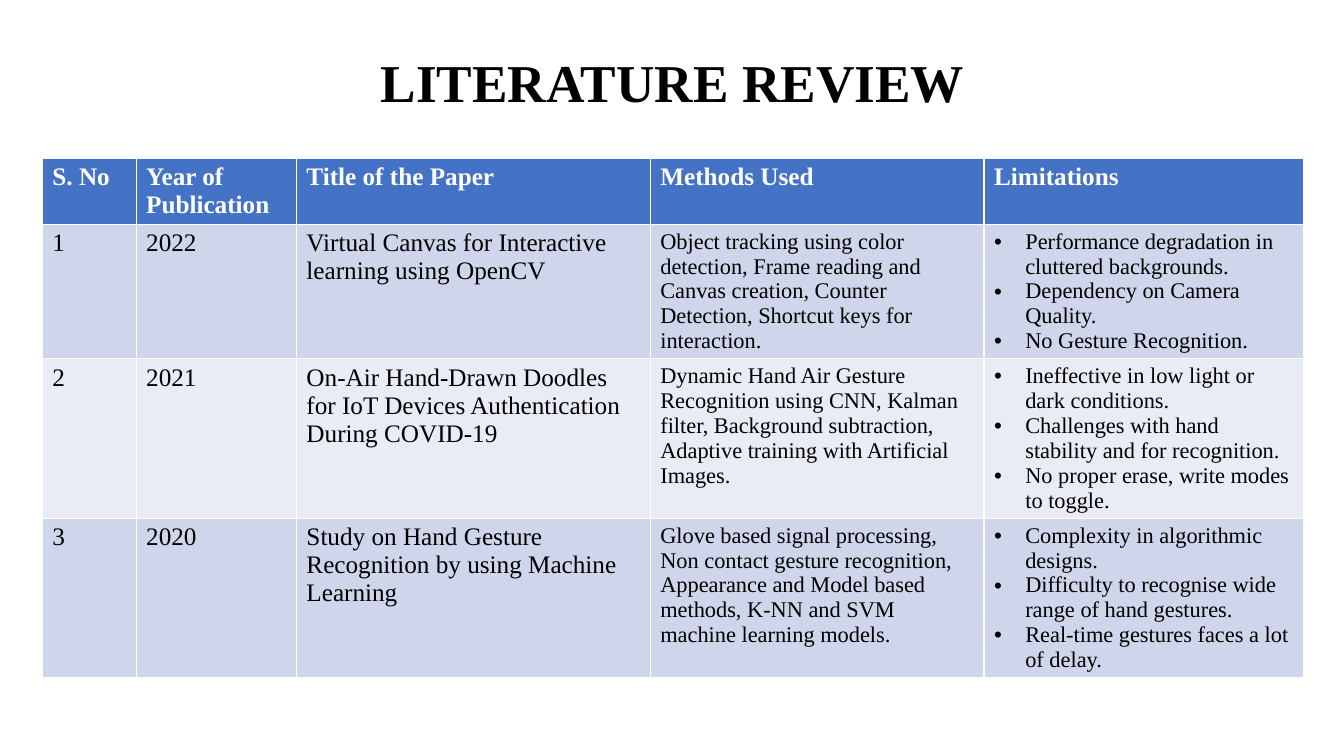
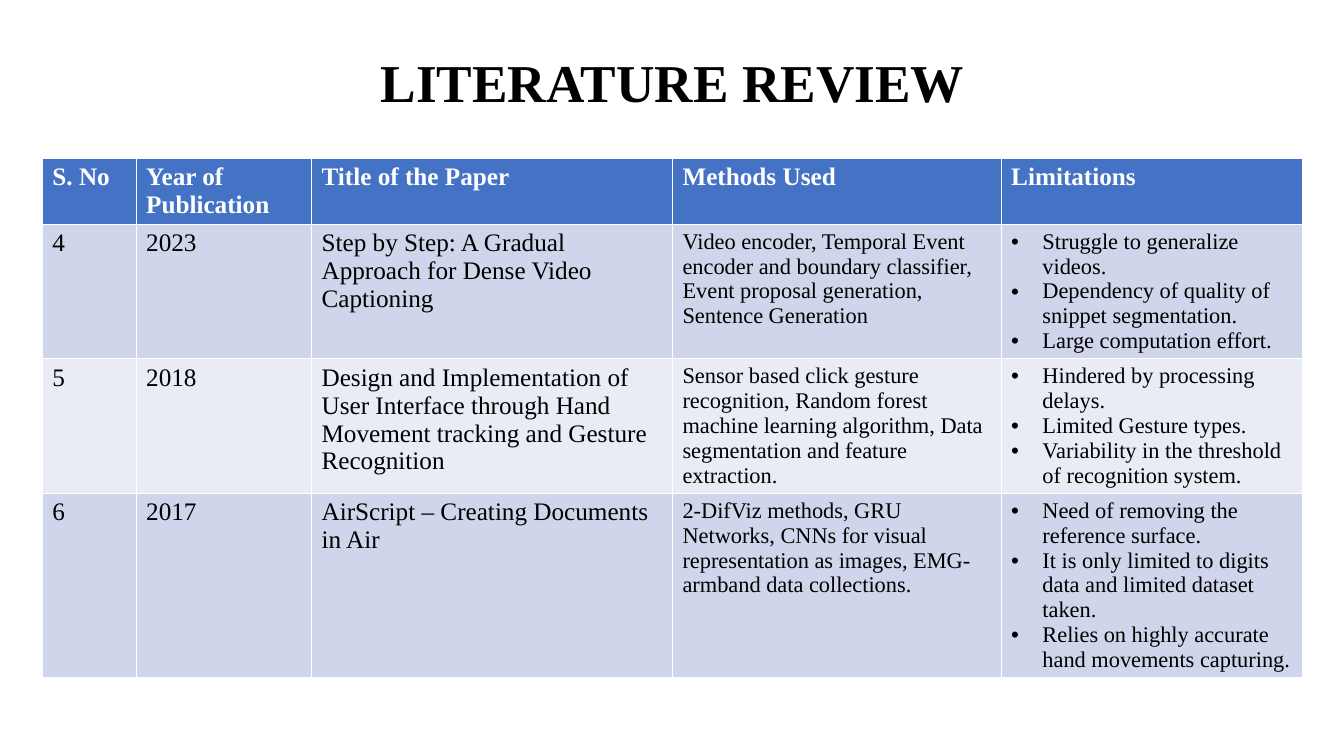
from lxml import etree
from pptx import Presentation
from pptx import util as u
from pptx.dml.color import RGBColor
from pptx.enum import text
from pptx.oxml.ns import qn

FONT = "Times New Roman"
BLACK = RGBColor(0x00, 0x00, 0x00)
WHITE = RGBColor(0xFF, 0xFF, 0xFF)
HEADER_BLUE = RGBColor(0x44, 0x72, 0xC4)
BANDS = [RGBColor(0xCF, 0xD5, 0xEA), RGBColor(0xE9, 0xEB, 0xF5)]

HEADINGS = ["S. No", "Year of Publication", "Title of the Paper", "Methods Used", "Limitations"]
LIMITATIONS = HEADINGS.index("Limitations")
BODY_SIZES = [18, 18, 18, 16, 16]

# Column widths and papers of each slide
REVIEWS = [
    ([0.93, 1.59, 3.51, 3.31, 3.17], [
        ["1", "2022", "Virtual Canvas for Interactive learning using OpenCV",
         "Object tracking using color detection, Frame reading and Canvas creation, "
         "Counter Detection, Shortcut keys for interaction.",
         ["Performance degradation in cluttered backgrounds.",
          "Dependency on Camera Quality.",
          "No Gesture Recognition."]],
        ["2", "2021", "On-Air Hand-Drawn Doodles for IoT Devices Authentication During COVID-19",
         "Dynamic Hand Air Gesture Recognition using CNN, Kalman filter, "
         "Background subtraction, Adaptive training with Artificial Images.",
         ["Ineffective in low light or dark conditions.",
          "Challenges with hand stability and for recognition.",
          "No proper erase, write modes to toggle."]],
        ["3", "2020", "Study on Hand Gesture Recognition by using Machine Learning",
         "Glove based signal processing, Non contact gesture recognition, "
         "Appearance and Model based methods, K-NN and SVM machine learning models.",
         ["Complexity in algorithmic designs.",
          "Difficulty to recognise wide range of hand gestures.",
          "Real-time gestures faces a lot of delay."]],
    ]),
    ([0.93, 1.74, 3.58, 3.26, 2.99], [
        ["4", "2023", "Step by Step: A Gradual Approach for Dense Video Captioning",
         "Video encoder, Temporal Event encoder and boundary classifier, "
         "Event proposal generation, Sentence Generation",
         ["Struggle to generalize videos.",
          "Dependency of quality of snippet segmentation.",
          "Large computation effort."]],
        ["5", "2018", "Design and Implementation of User Interface through Hand Movement "
         "tracking and Gesture Recognition",
         "Sensor based click gesture recognition, Random forest machine learning algorithm, "
         "Data segmentation and feature extraction.",
         ["Hindered by processing delays.",
          "Limited Gesture types.",
          "Variability in the threshold of recognition system."]],
        ["6", "2017", "AirScript – Creating Documents in Air",
         "2-DifViz methods, GRU Networks, CNNs for visual representation as images, "
         "EMG- armband data collections.",
         ["Need of removing the reference surface.",
          "It is only limited to digits data and limited dataset taken.",
          "Relies on highly accurate hand movements capturing."]],
    ]),
]


def set_font(para, size, color, bold):
    para.font.name = FONT
    para.font.size = u.Pt(size)
    para.font.color.rgb = color
    para.font.bold = bold


def add_bullet(para):
    properties = para._p.get_or_add_pPr()
    indent = u.Inches(0.31)
    properties.set("marL", str(indent))
    properties.set("indent", str(-indent))
    etree.SubElement(properties, qn("a:buFont"), typeface="Arial")
    etree.SubElement(properties, qn("a:buChar"), char="•")


deck = Presentation()
deck.slide_width = u.Inches(13.33)
deck.slide_height = u.Inches(7.5)

for widths, papers in REVIEWS:
    page = deck.slides.add_slide(deck.slide_layouts.get_by_name("Title Only"))

    # Title
    title = page.shapes.title
    title.left, title.top = u.Inches(0.92), u.Inches(0.12)
    title.width, title.height = u.Inches(11.5), u.Inches(1.45)
    title.text_frame.text = "LITERATURE REVIEW"
    title.text_frame.vertical_anchor = text.MSO_ANCHOR.MIDDLE
    para = title.text_frame.paragraphs[0]
    para.alignment = text.PP_ALIGN.CENTER
    para.line_spacing = 0.9
    set_font(para, 38, BLACK, True)

    # Table; its rows grow to fit their text
    rows = [HEADINGS] + papers
    row_height = u.Inches(0.41)
    table = page.shapes.add_table(len(rows), len(HEADINGS), u.Inches(0.42), u.Inches(1.57),
                                  u.Inches(12.5), row_height * len(rows)).table
    for column, width in zip(table.columns, widths):
        column.width = u.Inches(width)

    for row_index, row in enumerate(rows):
        table.rows[row_index].height = row_height
        is_header = row_index == 0
        for column_index, content in enumerate(row):
            cell = table.cell(row_index, column_index)
            cell.fill.solid()
            cell.fill.fore_color.rgb = HEADER_BLUE if is_header else BANDS[(row_index - 1) % 2]
            is_list = column_index == LIMITATIONS and not is_header
            cell.text_frame.text = "\n".join(content) if is_list else content
            for para in cell.text_frame.paragraphs:
                if is_list:
                    add_bullet(para)
                if is_header:
                    set_font(para, 18, WHITE, True)
                else:
                    set_font(para, BODY_SIZES[column_index], BLACK, False)

deck.save("out.pptx")
